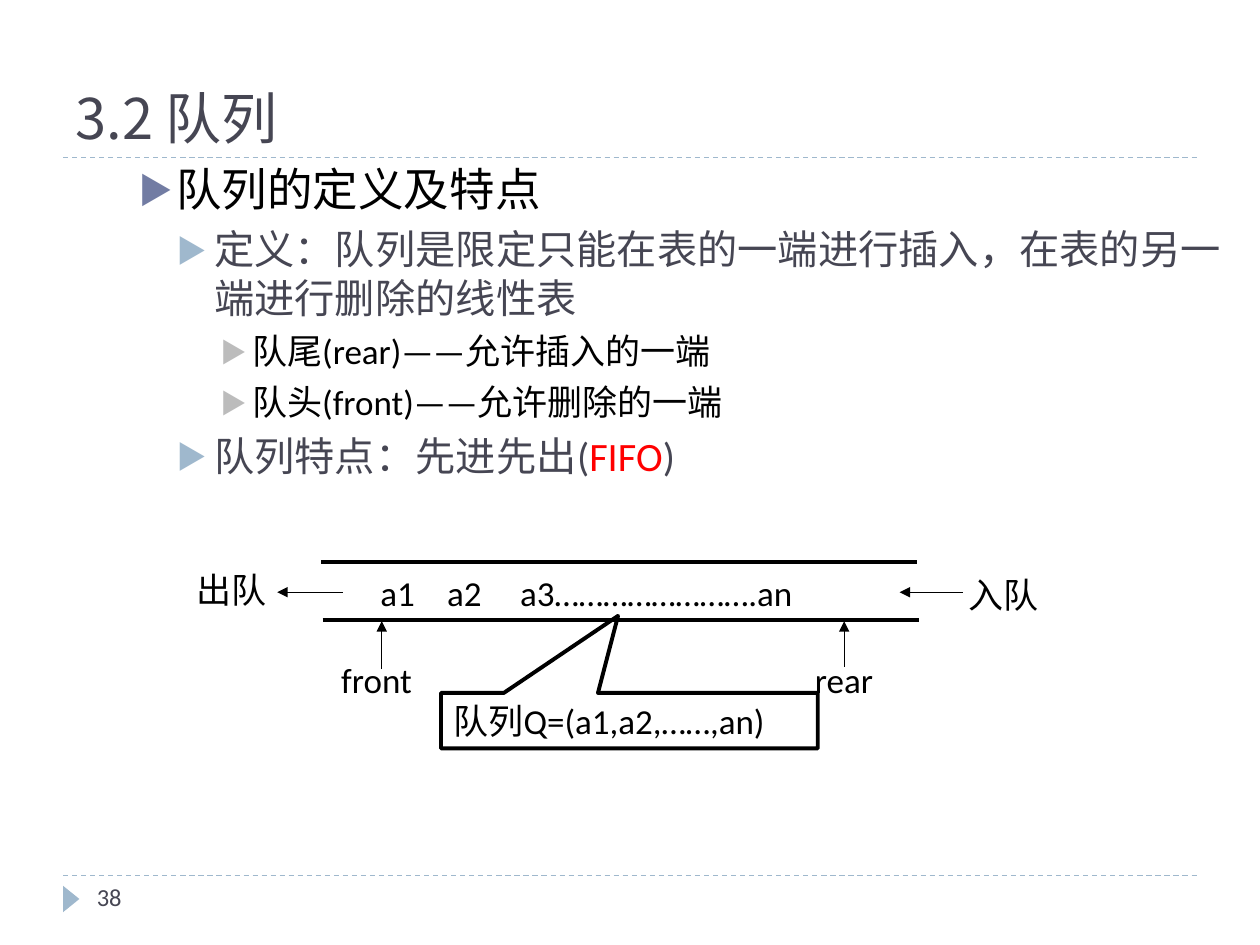
from lxml.etree import SubElement
from pptx import Presentation
from pptx.dml.color import RGBColor
from pptx.enum.dml import MSO_LINE
from pptx.enum.shapes import MSO_CONNECTOR, MSO_SHAPE
from pptx.enum.text import MSO_ANCHOR, MSO_AUTO_SIZE, PP_ALIGN
from pptx.oxml.ns import qn
from pptx.util import Inches, Pt


def paint(code):
    return RGBColor.from_string(code)


class Deck:
    face = "Calibri"
    han = "Noto Sans CJK SC"
    black = "000000"
    ink = "464653"
    blue = "9FB8CD"
    levels = [
        (0.3, 0.3, 26, 6, "727CA3", black),
        (0.6, 0.3, 23, 5, blue, ink),
        (0.9, 0.25, 20, 5, "BCBCBC", black),
    ]

    def __init__(self, show):
        self.slide = show.slides.add_slide(show.slide_layouts[1])

    def place(self, shape, box):
        shape.left, shape.top, shape.width, shape.height = map(Inches, box)

    def frame(self, shape, anchor, wrap=True):
        frame = shape.text_frame
        frame.auto_size = MSO_AUTO_SIZE.NONE
        frame.word_wrap = wrap
        frame.vertical_anchor = anchor
        return frame

    def run(self, para, text, size, color=black, face=face):
        run = para.add_run()
        run.text = text
        run.font.size = Pt(size)
        run.font.color.rgb = paint(color)
        run.font.name = face
        SubElement(run.font._element, qn("a:ea"), typeface=self.han)

    def title(self, box, text):
        shape = self.slide.shapes.title
        self.place(shape, box)
        para = self.frame(shape, MSO_ANCHOR.BOTTOM).paragraphs[0]
        para.alignment = PP_ALIGN.LEFT
        self.run(para, text, 32, self.ink, self.han)

    def body(self, box, items):
        shape = self.slide.placeholders[1]
        self.place(shape, box)
        frame = self.frame(shape, MSO_ANCHOR.TOP)
        for i, (level, parts) in enumerate(items):
            para = frame.add_paragraph() if i else frame.paragraphs[0]
            left, hang, size, gap, mark, color = self.levels[level]
            para.level = level
            self.bullet(para, left, hang, mark)
            para.space_before = Pt(gap if i else 0)
            for text, tint in parts:
                self.run(para, text, size, tint or color)

    def bullet(self, para, left, hang, color):
        props = para._p.get_or_add_pPr()
        props.set("marL", str(Inches(left)))
        props.set("indent", str(-Inches(hang)))
        tint = SubElement(props, qn("a:buClr"))
        SubElement(tint, qn("a:srgbClr"), val=color)
        SubElement(props, qn("a:buSzPct"), val="76000")
        SubElement(props, qn("a:buFont"), typeface=self.han)
        SubElement(props, qn("a:buChar"), char="▶")

    def label(self, box, text, size=20, color=black,
              anchor=MSO_ANCHOR.MIDDLE, tabs=()):
        shape = self.slide.shapes.add_textbox(*map(Inches, box))
        para = self.frame(shape, anchor, bool(tabs)).paragraphs[0]
        if tabs:
            stops = SubElement(para._p.get_or_add_pPr(), qn("a:tabLst"))
            for stop in tabs:
                SubElement(stops, qn("a:tab"), pos=str(Inches(stop)), algn="l")
        self.run(para, text, size, color)

    def line(self, start, end, width=0.75, color=black, dash=False, head=False):
        link = self.slide.shapes.add_connector(
            MSO_CONNECTOR.STRAIGHT, *map(Inches, (*start, *end)))
        link.line.color.rgb = paint(color)
        link.line.width = Pt(width)
        if dash:
            link.line.dash_style = MSO_LINE.DASH
        if head:
            SubElement(link.line._get_or_add_ln(), qn("a:tailEnd"), type="triangle")
        SubElement(link._element.spPr, qn("a:effectLst"))

    def marker(self, box):
        shape = self.slide.shapes.add_shape(
            MSO_SHAPE.ISOSCELES_TRIANGLE, *map(Inches, box))
        shape.shadow.inherit = False
        shape.rotation = 90
        shape.fill.solid()
        shape.fill.fore_color.rgb = paint(self.blue)
        shape.line.fill.background()

    def callout(self, box, tip, text):
        shape = self.slide.shapes.add_shape(
            MSO_SHAPE.RECTANGULAR_CALLOUT, *map(Inches, box))
        shape.shadow.inherit = False
        shape.adjustments[0], shape.adjustments[1] = tip
        shape.fill.background()
        shape.line.color.rgb = paint(self.black)
        shape.line.width = Pt(2.25)
        para = self.frame(shape, MSO_ANCHOR.MIDDLE, False).paragraphs[0]
        para.alignment = PP_ALIGN.LEFT
        self.run(para, text, 20)


def main():
    show = Presentation()
    show.slide_width, show.slide_height = Inches(10), Inches(7.5)
    deck = Deck(show)

    for y in (6.95, 1.25):
        deck.line((0.5, y), (9.5, y), color=deck.blue, dash=True)
    deck.marker((0.46, 7.07, 0.21, 0.13))
    deck.title((0.5, 0.17, 9, 1.08), "3.2 队列")
    deck.label((0.67, 6.95, 2.17, 0.4), "38", 14, deck.ink, MSO_ANCHOR.TOP)
    deck.body((1, 1.23, 8.83, 5.75), [
        (0, [("队列的定义及特点", None)]),
        (1, [("定义：队列是限定只能在表的一端进行插入，在表的另一端进行删除的线性表", None)]),
        (2, [("队尾(rear)——允许插入的一端", None)]),
        (2, [("队头(front)——允许删除的一端", None)]),
        (1, [("队列特点：先进先出(", None), ("FIFO", "FF0000"), (")", None)]),
    ])

    for x, y in ((2.55, 4.46), (2.56, 4.92)):
        deck.line((x, y), (x + 4.73, y), 2.25)
    deck.label((2.92, 4.48, 4.03, 0.44), "a1\ta2\ta3…………………….an",
               tabs=(0.53, 1.11))

    for start, end in (
        ((7.64, 4.7), (7.14, 4.7)),
        ((2.72, 4.7), (2.2, 4.7)),
        ((3.03, 5.31), (3.03, 4.93)),
        ((6.7, 5.29), (6.7, 4.93)),
    ):
        deck.line(start, end, head=True)

    for x, y, width, text in (
        (7.59, 4.5, 0.75, "入队"),
        (1.46, 4.46, 0.75, "出队"),
        (2.61, 5.17, 0.85, "front"),
        (6.37, 5.17, 0.74, "rear"),
    ):
        deck.label((x, y, width, 0.44), text)
    deck.callout((3.5, 5.5, 2.99, 0.44), (-0.03, -1.89), "队列Q=(a1,a2,……,an)")

    show.save("out.pptx")


if __name__ == "__main__":
    main()
